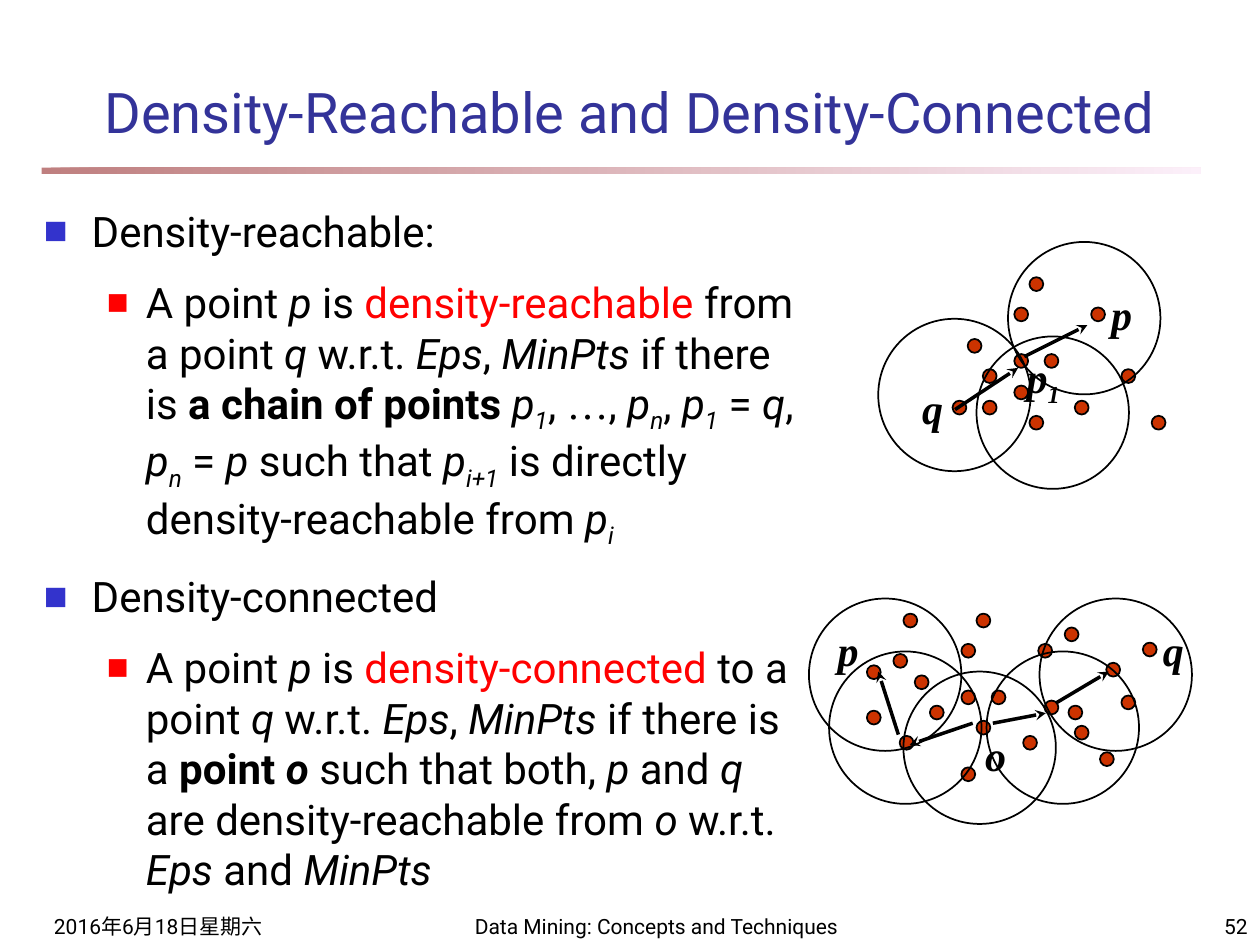
import pptx
import pptx.dml.color
import pptx.enum.shapes
import pptx.enum.text
import pptx.oxml
import pptx.oxml.ns
import pptx.util
from dataclasses import dataclass
from lxml import etree

Inches = pptx.util.Inches
Pt = pptx.util.Pt
RGB = pptx.dml.color.RGBColor.from_string
Anchor = pptx.enum.text.MSO_ANCHOR
Align = pptx.enum.text.PP_ALIGN
Shape = pptx.enum.shapes.MSO_SHAPE
qn = pptx.oxml.ns.qn


@dataclass
class Theme:
    font: str = "Roboto"
    serif: str = "Times New Roman"
    ink: str = "000000"
    title: str = "333399"
    mark: str = "FF0000"
    bullet: str = "3333CC"
    dot: str = "CC3300"
    bar: tuple = ("800000", "FAE2F6")
    head: int = 32
    text: int = 24
    foot: int = 12


theme = Theme()


def say(para, text, size=theme.text, color=theme.ink, font=theme.font,
        bold=False, italic=False, sub=False):
    run = para.add_run()
    run.text = text
    run.font.size, run.font.name = Pt(size), font
    run.font.bold, run.font.italic = bold, italic
    run.font.color.rgb = RGB(color)
    if sub:
        run.font._element.set("baseline", "-25000")


def ring(left, top, size, fill=None):
    oval = slide.shapes.add_shape(Shape.OVAL, Inches(left), Inches(top),
                                  Inches(size), Inches(size))
    oval.shadow.inherit = False
    oval.line.color.rgb, oval.line.width = RGB(theme.ink), Pt(1)
    if fill:
        oval.fill.solid()
        oval.fill.fore_color.rgb = RGB(fill)
    else:
        oval.fill.background()


deck = pptx.Presentation()
deck.slide_width, deck.slide_height = Inches(10), Inches(7.5)
slide = deck.slides.add_slide(deck.slide_layouts[5])

# Title
title = slide.shapes.title
title.left, title.top = Inches(0), Inches(0.42)
title.width, title.height = Inches(10), Inches(0.92)
title.text_frame.vertical_anchor = Anchor.MIDDLE
para = title.text_frame.paragraphs[0]
para.alignment = Align.CENTER
say(para, "Density-Reachable and Density-Connected", size=theme.head, color=theme.title)

# Fading bar under the title
bar = slide.shapes.add_shape(Shape.RECTANGLE, Inches(0.33), Inches(1.33),
                             Inches(9.2), Inches(0.05))
bar.shadow.inherit = False
bar.line.fill.background()
bar.fill.gradient()
bar.fill.gradient_angle = 0
for stop, color in zip(bar.fill.gradient_stops, theme.bar):
    stop.color.rgb = RGB(color)
for node in bar._element.spPr.iter(qn("a:srgbClr")):
    etree.SubElement(node, qn("a:alpha"), val="50000")

# Footer
for left, width, text, align in [
        (0.33, 2.08, "2016年6月18日星期六", Align.LEFT),
        (3.67, 3.17, "Data Mining: Concepts and Techniques", Align.LEFT),
        (7.92, 2.08, "52", Align.RIGHT)]:
    frame = slide.shapes.add_textbox(Inches(left), Inches(7.08),
                                     Inches(width), Inches(0.42)).text_frame
    frame.word_wrap, frame.vertical_anchor = True, Anchor.BOTTOM
    para = frame.paragraphs[0]
    para.alignment = align
    say(para, text, size=theme.foot)

# Body: each paragraph is a level and its runs
plain, bold, ital = {}, {"bold": True}, {"italic": True}
both = bold | ital
sub = ital | {"sub": True}
red, serif = {"color": theme.mark}, {"font": theme.serif}
body = [
    (0, [("Density-reachable:", plain)]),
    (1, [("A point ", plain), ("p", ital), (" is ", plain),
         ("density-reachable", red), (" from a point ", plain), ("q ", ital),
         ("w.r.t. ", plain), ("Eps", ital), (", ", plain), ("MinPts", ital),
         (" if there is ", plain), ("a chain of points ", bold),
         ("p", ital), ("1", sub), (", ", plain), ("…", serif), (", ", plain),
         ("p", ital), ("n", sub), (", ", plain), ("p", ital), ("1", sub),
         (" = ", plain), ("q", ital), (", ", plain), ("p", ital), ("n", sub),
         (" = ", plain), ("p", ital), (" such that ", plain), ("p", ital),
         ("i+1", sub), (" is directly density-reachable from ", plain),
         ("p", ital), ("i", sub)]),
    (0, [("Density-connected", plain)]),
    (1, [("A point ", plain), ("p", ital), (" is ", plain),
         ("density-connected", red), (" to a point ", plain), ("q ", ital),
         ("w.r.t. ", plain), ("Eps", ital), (", ", plain), ("MinPts", ital),
         (" if there is a ", plain), ("point ", bold), ("o ", both),
         ("such that both, ", plain), ("p", ital), (" and ", plain), ("q", ital),
         (" are density-reachable from ", plain), ("o ", ital),
         ("w.r.t. ", plain), ("Eps", ital), (" and ", plain), ("MinPts", ital)]),
]
looks = [(0.38, -0.38, theme.bullet, 60), (0.81, -0.31, theme.mark, 55)]
frame = slide.shapes.add_textbox(Inches(0.25), Inches(1.58),
                                 Inches(6.17), Inches(5.5)).text_frame
frame.word_wrap = True
for row, (level, runs) in enumerate(body):
    para = frame.add_paragraph() if row else frame.paragraphs[0]
    para.level = level
    para.space_before = Pt(12 if row else 0)
    left, hang, color, size = looks[level]
    props = para._p.get_or_add_pPr()
    props.set("marL", str(Inches(left)))
    props.set("indent", str(Inches(hang)))
    tint = etree.SubElement(props, qn("a:buClr"))
    etree.SubElement(tint, qn("a:srgbClr"), val=color)
    etree.SubElement(props, qn("a:buSzPct"), val=str(size * 1000))
    etree.SubElement(props, qn("a:buFont"), typeface=theme.font)
    etree.SubElement(props, qn("a:buChar"), char="■")
    for text, style in runs:
        say(para, text, **style)

# Data points of the upper and the lower diagram
dots = [
    (7.68, 2.69), (8.05, 2.81), (8.05, 2.44), (7.56, 3.18), (7.8, 2.93),
    (7.8, 3.18), (8.17, 3.3), (8.17, 2.2), (8.9, 2.93), (8.66, 2.44),
    (8.05, 3.06), (8.29, 2.81), (8.53, 3.18), (9.14, 3.3),

    (7.26, 5.36), (7.63, 5.48), (7.63, 5.11), (7.14, 5.84), (7.38, 5.6),
    (7.63, 6.09), (7.75, 5.72), (7.75, 4.87), (8.48, 5.6), (8.24, 5.11),
    (6.88, 5.64), (7.87, 5.48), (8.12, 5.84), (8.73, 5.97), (8.9, 5.52),
    (8.29, 5.56), (8.53, 5.76), (9.07, 5.1), (8.45, 4.98), (8.78, 5.26),
    (7.09, 5.19), (6.88, 5.28), (7.17, 4.87),
]
for left, top in dots:
    ring(left, top, 0.11, theme.dot)

# Neighbourhoods
for left, top in [(7.75, 2.67), (6.97, 2.53), (8, 1.92), (6.58, 5.17),
                  (7.17, 5.33), (7.83, 5.17), (8.25, 4.75), (6.42, 4.75)]:
    ring(left, top, 1.21)

# Arrows along the chains, from start to tip
for ends in [(8.13, 2.83, 8.63, 2.58), (7.58, 3.25, 8.08, 2.92),
             (7.72, 5.74, 7.22, 5.91), (7.88, 5.74, 8.3, 5.66),
             (7.13, 5.83, 6.97, 5.33), (8.38, 5.58, 8.8, 5.33)]:
    arrow = slide.shapes.add_connector(pptx.enum.shapes.MSO_CONNECTOR.STRAIGHT,
                                       *map(Inches, ends))
    arrow.line.color.rgb, arrow.line.width = RGB(theme.ink), Pt(2)
    etree.SubElement(arrow.line._get_or_add_ln(), qn("a:tailEnd"), type="stealth")
    etree.SubElement(arrow._element.spPr, qn("a:effectLst"))

# Point names
for left, top, width, name, low in [
        (8.72, 2.24, 0.42, "p", ""), (7.22, 2.99, 0.42, "q", ""),
        (8.05, 2.74, 0.67, "p", "1"), (6.55, 4.91, 0.42, "p", ""),
        (9.13, 4.91, 0.42, "q", ""), (7.72, 5.74, 0.42, "o", "")]:
    frame = slide.shapes.add_textbox(Inches(left), Inches(top),
                                     Inches(width), Inches(0.5)).text_frame
    frame.word_wrap = True
    para = frame.paragraphs[0]
    say(para, name, **both, **serif)
    if low:
        say(para, low, sub=True, **both, **serif)

deck.save("out.pptx")
